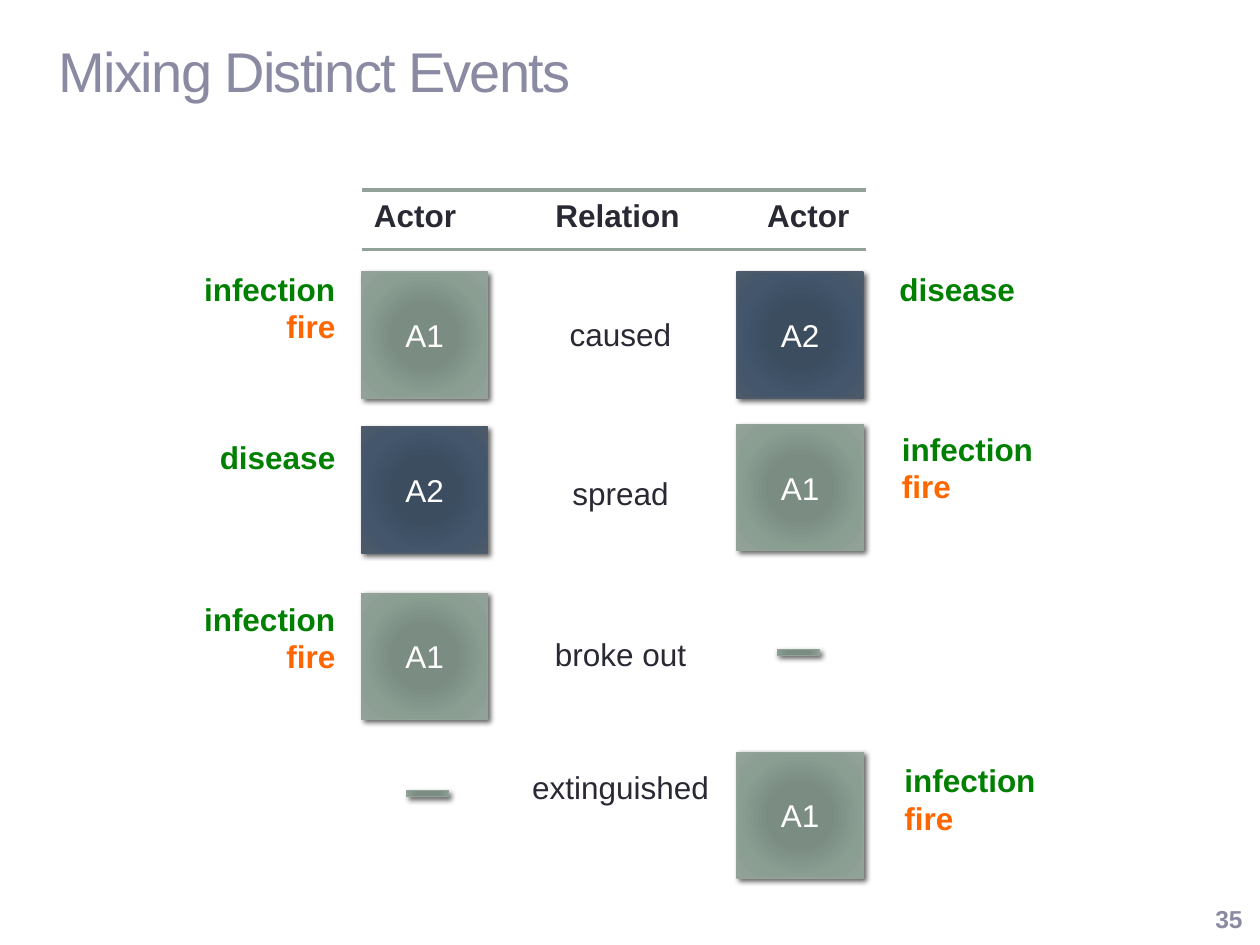
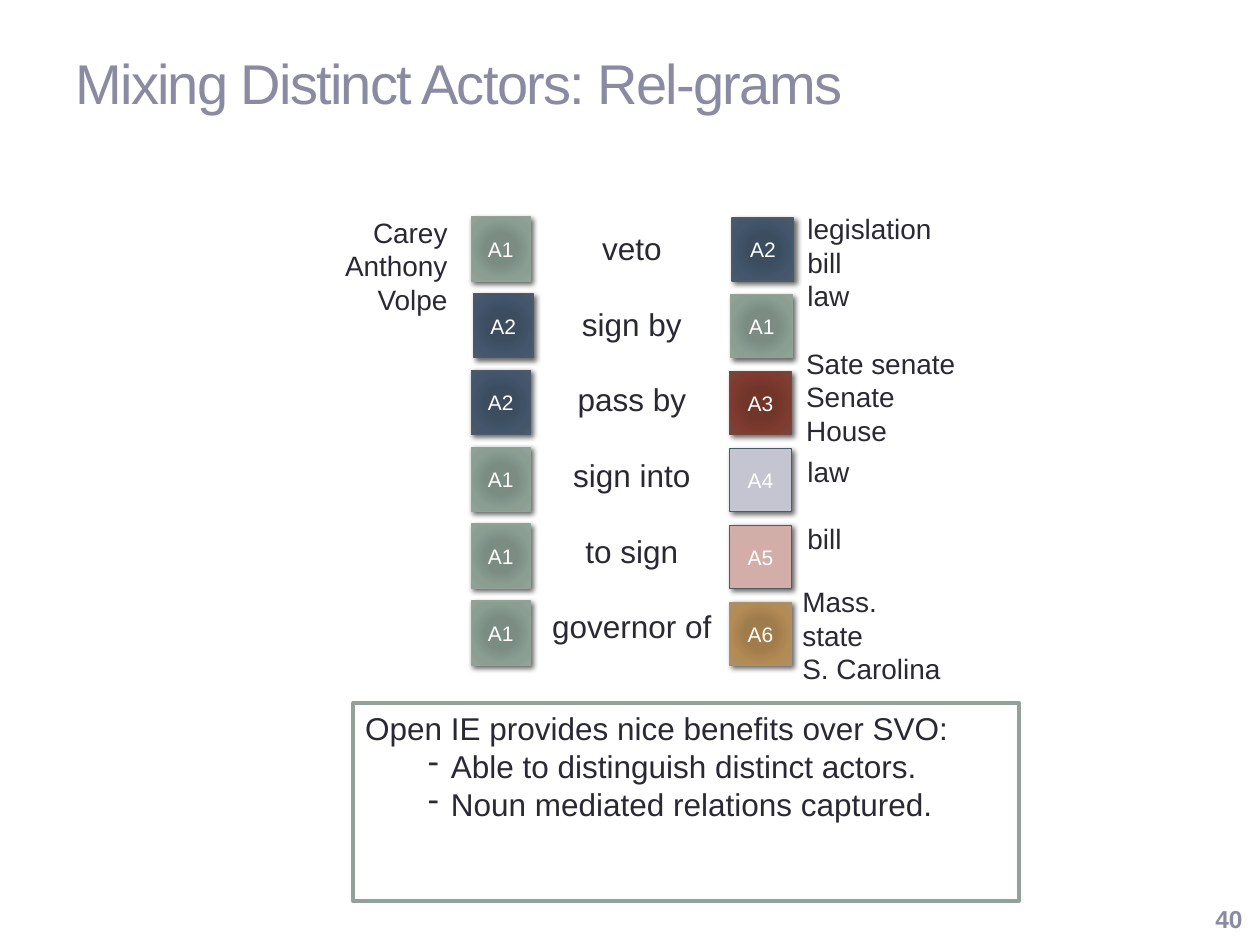
from pptx import Presentation
from pptx.dml.color import RGBColor
from pptx.enum.shapes import MSO_CONNECTOR, MSO_SHAPE
from pptx.enum.text import MSO_ANCHOR, PP_ALIGN
from pptx.oxml import parse_xml
from pptx.oxml.ns import nsdecls, qn
from pptx.util import Pt
from lxml.etree import SubElement

PX = 9144
FONT = "Arial"
LEFT, MID, RIGHT = PP_ALIGN.LEFT, PP_ALIGN.CENTER, PP_ALIGN.RIGHT
HUES = {
    "title": "8A8AA3",
    "ink": "292934",
    "white": "FFFFFF",
    "rule": "93A299",
    "edge": "4C5A6A",
    "green": "008000",
    "fire": "FF6600",
    "A1": "7B8E82 7B8D83 8A9E92 93A299",
    "A2": "3B4D61 3C4D60 43566B 4C5A6A",
    "A3": "743327 72352A 7F3B2F 79463D",
    "A4": "C5C5D1",
    "A5": "D3AEA8",
    "A6": "A37D49 A07C4C B38B55 AD8F67",
}
STOPS = (0, 34, 70, 100)


def add(slide, box, lines, size, hue="ink", align=LEFT, bold=False,
        anchor=MSO_ANCHOR.TOP, form=None, gap=0):
    spot = [n * PX for n in box]
    if form is None:
        shape = slide.shapes.add_textbox(*spot)
    else:
        shape = slide.shapes.add_shape(form, *spot)
        shape.shadow.inherit = False
    frame = shape.text_frame
    frame.word_wrap = True
    frame.vertical_anchor = anchor
    frame.text = "\n".join(lines)
    for i, para in enumerate(frame.paragraphs):
        para.alignment = align
        para.font.name = FONT
        para.font.size = Pt(size)
        para.font.bold = bold
        para.font.color.rgb = RGBColor.from_string(HUES[hue])
        if i and gap:
            para.space_before = Pt(gap)
    return shape


def tile(slide, box, name, size=18, form=MSO_SHAPE.RECTANGLE):
    lines = [name] if form == MSO_SHAPE.RECTANGLE else []
    shape = add(slide, box, lines, size, "white", MID,
                anchor=MSO_ANCHOR.MIDDLE, form=form)
    tones = HUES[name].split()
    props = shape.fill._xPr
    if len(tones) == 1:
        shape.fill.solid()
        shape.fill.fore_color.rgb = RGBColor.from_string(tones[0])
        edge = HUES["edge"]
    else:
        shape.fill.gradient()
        stops = "".join(
            f'<a:gs pos="{at * 1000}"><a:srgbClr val="{tone}"/></a:gs>'
            for at, tone in zip(STOPS, tones))
        blend = parse_xml(
            f'<a:gradFill {nsdecls("a")} rotWithShape="1"><a:gsLst>{stops}</a:gsLst>'
            '<a:path path="circle"><a:fillToRect l="100000" t="100000" '
            'r="100000" b="100000"/></a:path></a:gradFill>')
        props.replace(props.find(qn("a:gradFill")), blend)
        edge = tones[-1]
    shape.line.color.rgb = RGBColor.from_string(edge)
    shape.line.width = Pt(0.75)
    props.find(qn("a:effectLst")).append(parse_xml(
        f'<a:outerShdw {nsdecls("a")} blurRad="38100" dist="25400" dir="2700000" '
        'rotWithShape="0"><a:srgbClr val="000000"><a:alpha val="60000"/>'
        '</a:srgbClr></a:outerShdw>'))


deck = Presentation()
deck.slide_width, deck.slide_height = 1000 * PX, 750 * PX
pages = []
for title, box, page in (
    ("Mixing Distinct Events", (37, 2, 930, 108), "35"),
    ("Mixing Distinct Actors: Rel-grams", (50, 11, 900, 108), "40"),
):
    slide = deck.slides.add_slide(deck.slide_layouts[6])
    head = add(slide, box, [title], 32, "title", anchor=MSO_ANCHOR.MIDDLE)
    run = head.text_frame.paragraphs[0].runs[0]
    run._r.get_or_add_rPr().set("spc", "-100")
    add(slide, (937, 711, 59, 36), [page], 14, "title", RIGHT, True, MSO_ANCHOR.MIDDLE)
    pages.append(slide)
events, actors = pages

for x, wide, word in ((287, 86, "Actor"), (431, 120, "Relation"), (599, 86, "Actor")):
    cell = add(events, (x, 151, wide, 40), [word], 18, bold=True)
    cell.text_frame.word_wrap = False
for y in (151, 198):
    rule = events.shapes.add_connector(
        MSO_CONNECTOR.STRAIGHT, 287 * PX, y * PX, 687 * PX, y * PX)
    rule.line.color.rgb = RGBColor.from_string(HUES["rule"])
    rule.line.width = Pt(2.08)
    SubElement(rule.line._ln.getparent(), qn("a:effectLst"))

for y, word in ((245, "caused"), (371, "spread"), (499, "broke out"), (605, "extinguished")):
    add(events, (406, y, 173, 40), [word], 18, align=MID)
for x, y, name in (
    (287, 216, "A1"), (585, 216, "A2"),
    (287, 339, "A2"), (585, 337, "A1"),
    (287, 471, "A1"), (585, 597, "A1"),
):
    tile(events, (x, y, 100, 100), name)
for x, y in ((611, 508), (317, 620)):
    tile(events, (x, y, 45, 20), "A1", form=MSO_SHAPE.MATH_MINUS)

both = ["infection", "fire"]
for x, y, lines, align in (
    (143, 209, both, RIGHT), (704, 209, ["disease"], LEFT),
    (143, 343, ["disease"], RIGHT), (706, 336, both, LEFT),
    (143, 471, both, RIGHT), (708, 599, both, LEFT),
):
    label = add(events, (x, y, 133, 71), lines, 18, "green", align, True)
    for para in label.text_frame.paragraphs[1:]:
        para.font.color.rgb = RGBColor.from_string(HUES["fire"])

verbs = ["veto", "sign by", "pass by", "sign into", "to sign", "governor of"]
add(actors, (423, 177, 157, 374), verbs, 18, align=MID, gap=21.6)
for i, (x, name, far, other) in enumerate((
    (374, "A1", 581, "A2"), (376, "A2", 580, "A1"), (374, "A2", 579, "A3"),
    (374, "A1", 579, "A4"), (374, "A1", 579, "A5"), (374, "A1", 579, "A6"),
)):
    y = 172 + 61 * i
    tile(actors, (x, y, 47, 51), name, 12)
    tile(actors, (far, y + 1, 49, 50), other, 12)

for x, y, wide, lines, align, gap in (
    (244, 166, 121, ["Carey", "Anthony", "Volpe"], RIGHT, 0),
    (631, 163, 143, ["legislation", "bill", "law"], LEFT, 0),
    (630, 270, 143, ["Sate senate", "Senate", "House"], LEFT, 0),
    (631, 356, 143, ["law", "bill"], LEFT, 19.2),
    (627, 459, 143, ["Mass.", "state", "S. Carolina"], LEFT, 0),
):
    add(actors, (x, y, wide, 91), lines, 16, align=align, gap=gap)

note = add(actors, (280, 558, 529, 157), [
    "Open IE provides nice benefits over SVO:",
    "Able to distinguish distinct actors.",
    "Noun mediated relations captured.",
], 18, form=MSO_SHAPE.RECTANGLE)
note.fill.solid()
note.fill.fore_color.rgb = RGBColor.from_string(HUES["white"])
note.line.color.rgb = RGBColor.from_string(HUES["rule"])
note.line.width = Pt(2.08)
for para in note.text_frame.paragraphs[1:]:
    props = para._p.get_or_add_pPr()
    props.set("marL", str(68 * PX))
    props.set("indent", str(-18 * PX))
    props.insert(0, parse_xml(f'<a:buChar {nsdecls("a")} char="-"/>'))

deck.save("out.pptx")
